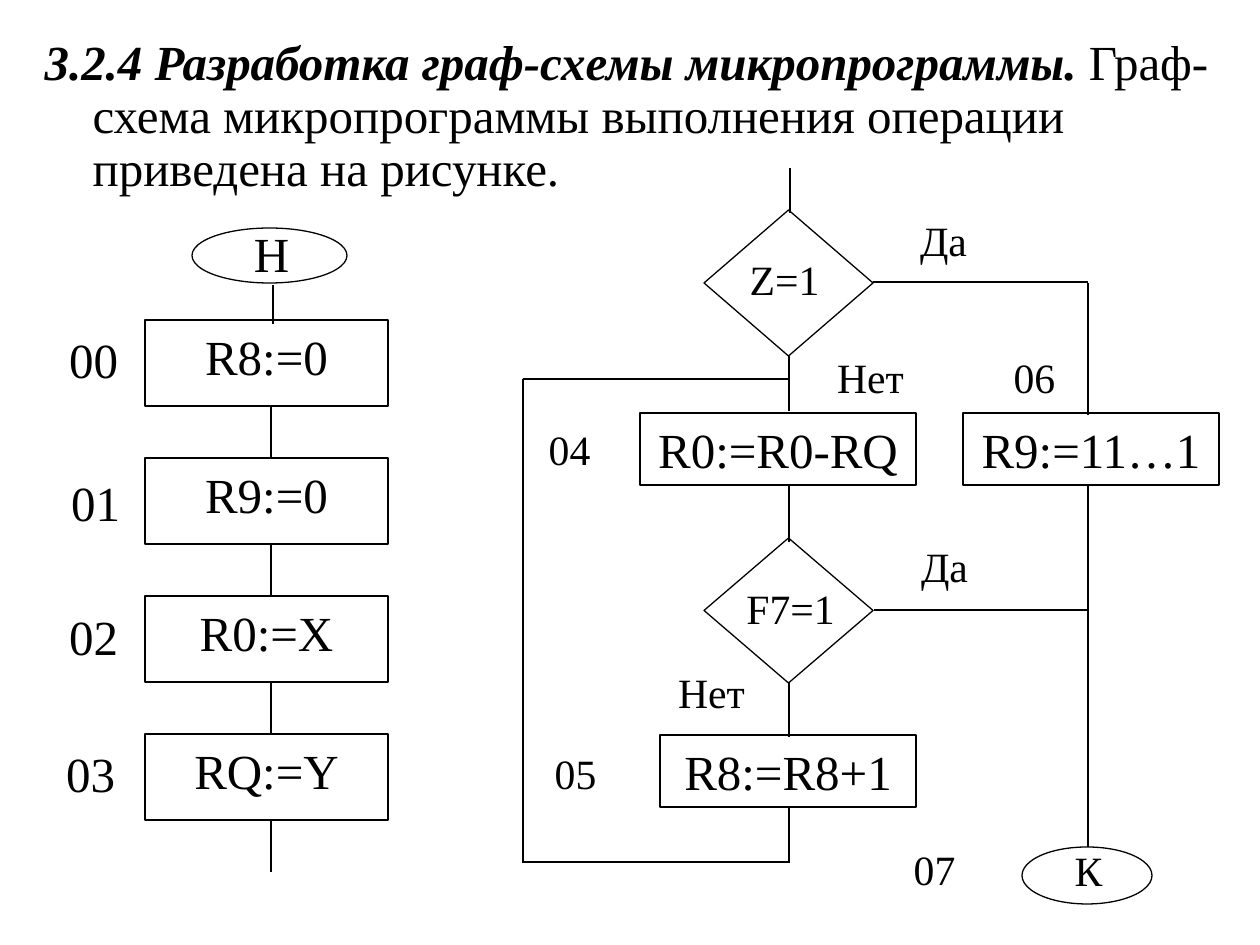
import pptx
import pptx.util
import pptx.dml.color
import pptx.enum.shapes
import pptx.enum.text
import pptx.oxml.ns
import lxml.etree

Shape = pptx.enum.shapes.MSO_SHAPE
Align = pptx.enum.text.PP_ALIGN
Anchor = pptx.enum.text.MSO_ANCHOR
BLACK = pptx.dml.color.RGBColor(0, 0, 0)
FONT = "Times New Roman"
LARGE, SMALL = 28, 23.8
LABEL_SIZE = {LARGE: (207, 76), SMALL: (173, 63)}
PX = 914400 / 126

# Content: heading, then the flowchart parts in px
HEADING = [("3.2.4 Разработка граф-схемы микропрограммы. ", True),
           ("Граф-схема микропрограммы выполнения операции приведена на рисунке.", False)]

# Left column: operation, its number, left and top of the number
STEPS = [("R8:=0", "00", -10, 323), ("R9:=0", "01", -8, 466),
         ("R0:=X", "02", -10, 600), ("RQ:=Y", "03", -13, 737)]
STEP_LEFT, STEP_TOP, STEP_WIDTH, STEP_HEIGHT, STEP_PITCH = 145, 320, 243, 86, 138
STEP_AXIS = 271

# Right part: left, top, width, height
OPERATIONS = [("R0:=R0-RQ", 640, 413, 276, 72), ("R8:=R8+1", 660, 735, 256, 72),
              ("R9:=11…1", 963, 413, 256, 72)]
DECISIONS = [(704, 210, 169, 146), (704, 538, 169, 145)]
TERMINALS = [(192, 228, 155, 55), (1022, 847, 130, 57)]

# Label, left, top, size
LABELS = [("Н", 168, 217, LARGE), ("К", 1002, 839, SMALL),
          ("Z=1", 698, 248, SMALL), ("F7=1", 704, 577, SMALL),
          ("Да", 857, 209, SMALL), ("Нет", 784, 346, SMALL),
          ("Да", 858, 535, SMALL), ("Нет", 625, 661, SMALL),
          ("04", 483, 418, SMALL), ("05", 489, 742, SMALL),
          ("06", 948, 346, SMALL), ("07", 848, 838, SMALL)]

LOOP, AXIS, EXIT = 523, 789, 1088
LINES = [(273, 285, 273, 324),
         (AXIS + 1, 168, AXIS + 1, 213), (AXIS, 356, AXIS, 411),
         (AXIS, 486, AXIS, 542), (AXIS, 682, AXIS, 737), (AXIS, 808, AXIS, 863),
         (LOOP, 379, LOOP, 863), (LOOP, 379, AXIS, 379), (LOOP, 862, AXIS, 862),
         (873, 282, EXIT, 282), (EXIT, 283, EXIT, 415),
         (874, 610, EXIT, 610), (EXIT, 485, EXIT, 847)]


def emu(*lengths):
    return [round(length * PX) for length in lengths]


def style(font, size, emphasis=False):
    font.name, font.size, font.color.rgb = FONT, pptx.util.Pt(size), BLACK
    font.bold = font.italic = emphasis


def write(holder, text, size):
    frame = holder.text_frame
    frame.word_wrap = True
    frame.vertical_anchor = Anchor.TOP
    frame.text = text
    frame.paragraphs[0].alignment = Align.CENTER
    style(frame.paragraphs[0].runs[0].font, size)


def add_outline(kind, box, text=""):
    outline = slide.shapes.add_shape(kind, *emu(*box))
    outline.shadow.inherit = False
    outline.fill.background()
    outline.line.color.rgb = BLACK
    outline.line.width = pptx.util.Pt(0.75)
    if text:
        write(outline, text, LARGE)


def add_label(text, left, top, size):
    label = slide.shapes.add_textbox(*emu(left, top, *LABEL_SIZE[size]))
    write(label, text, size)


def add_line(ends):
    line = slide.shapes.add_connector(pptx.enum.shapes.MSO_CONNECTOR.STRAIGHT, *emu(*ends))
    line.line.color.rgb = BLACK
    line.line.width = pptx.util.Pt(0.75)
    lxml.etree.SubElement(line._element.spPr, pptx.oxml.ns.qn("a:effectLst"))


deck = pptx.Presentation()
deck.slide_width, deck.slide_height = emu(1260, 945)
slide = deck.slides.add_slide(deck.slide_layouts[5])

# Heading with a hanging indent
heading = slide.shapes.title
heading.left, heading.top, heading.width, heading.height = emu(32, 32, 1197, 179)
heading.text_frame.word_wrap = True
heading.text_frame.auto_size = pptx.enum.text.MSO_AUTO_SIZE.NONE
heading.text_frame.vertical_anchor = Anchor.TOP
sentence = heading.text_frame.paragraphs[0]
sentence.alignment = Align.LEFT
sentence.line_spacing = 0.9
sentence.space_before = pptx.util.Pt(7)
indent = emu(48)[0]
properties = sentence._p.get_or_add_pPr()
properties.set("marL", str(indent))
properties.set("indent", str(-indent))
for words, emphasis in HEADING:
    run = sentence.add_run()
    run.text = words
    style(run.font, LARGE, emphasis)

# Left column of steps, each with a line leading down
for row, (operation, number, left, top) in enumerate(STEPS):
    step_top = STEP_TOP + row * STEP_PITCH
    add_outline(Shape.RECTANGLE, (STEP_LEFT, step_top, STEP_WIDTH, STEP_HEIGHT), operation)
    add_line((STEP_AXIS, step_top + STEP_HEIGHT, STEP_AXIS, step_top + STEP_PITCH))
    add_label(number, left, top, LARGE)

# Remaining blocks, lines and labels
for operation, *box in OPERATIONS:
    add_outline(Shape.RECTANGLE, box, operation)
for box in DECISIONS:
    add_outline(Shape.DIAMOND, box)
for box in TERMINALS:
    add_outline(Shape.OVAL, box)
for ends in LINES:
    add_line(ends)
for label in LABELS:
    add_label(*label)

deck.save("out.pptx")
